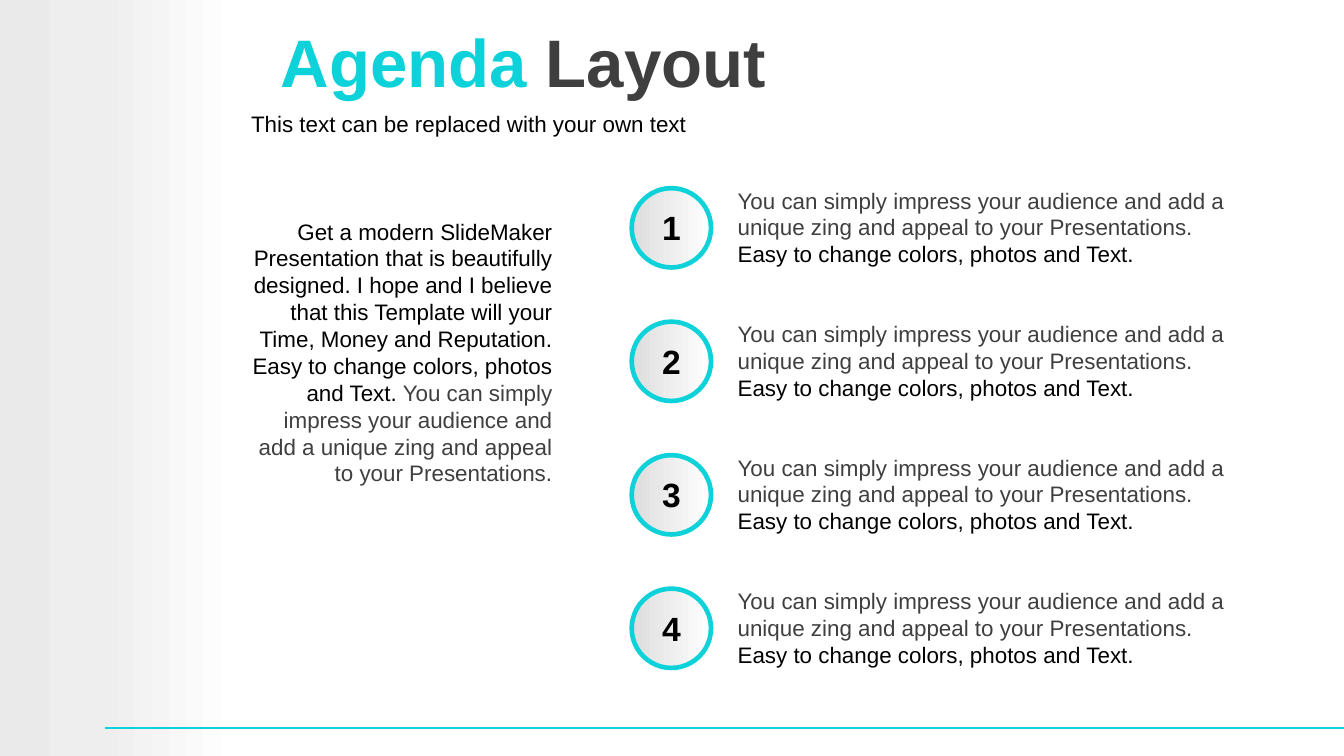
"""Build an agenda slide with four numbered points."""
import copy

import pptx
import pptx.dml.color
import pptx.enum.shapes
import pptx.enum.text
import pptx.oxml
import pptx.oxml.ns
import pptx.util

Inches = pptx.util.Inches
RGBColor = pptx.dml.color.RGBColor
MSO_SHAPE = pptx.enum.shapes.MSO_SHAPE
PP_ALIGN = pptx.enum.text.PP_ALIGN
MSO_ANCHOR = pptx.enum.text.MSO_ANCHOR

WIDTH = 10
HEIGHT = WIDTH * 9 / 16

TURQUOISE = RGBColor(0x0D, 0xD2, 0xD9)
CHARCOAL = RGBColor(0x3F, 0x3F, 0x3F)
BLACK = RGBColor(0, 0, 0)
WHITE = RGBColor(0xFF, 0xFF, 0xFF)
SILVER = RGBColor(0xDD, 0xDD, 0xDD)
MIST = RGBColor(0xEA, 0xEA, 0xEA)
PALE = RGBColor(0xEE, 0xEE, 0xEE)

IMPRESS = "You can simply impress your audience and add a unique zing and appeal to your Presentations."
EASY = "Easy to change colors, photos and Text."
INTRO = (
    "Get a modern SlideMaker Presentation that is beautifully designed. "
    "I hope and I believe that this Template will your Time, Money and Reputation. "
)


def write_text(tf, runs, size=12, bold=False, align=PP_ALIGN.LEFT, anchor=MSO_ANCHOR.TOP):
    """Fill a text frame with one paragraph of (text, colour) runs."""
    tf.word_wrap = True
    tf.auto_size = pptx.enum.text.MSO_AUTO_SIZE.NONE
    tf.vertical_anchor = anchor
    p = tf.paragraphs[0]
    p.alignment = align
    for text, color in runs:
        r = p.add_run()
        r.text = text
        r.font.name = "Arial"
        r.font.size = pptx.util.Pt(size)
        r.font.bold = bold
        r.font.color.rgb = color


def add_text(shapes, left, top, width, height, runs, **fmt):
    """Add a text box holding formatted runs."""
    sp = shapes.add_textbox(Inches(left), Inches(top), Inches(width), Inches(height))
    write_text(sp.text_frame, runs, **fmt)


def add_gradient_shape(shapes, kind, left, top, width, height, stops):
    """Add a preset shape with a left-to-right gradient."""
    sp = shapes.add_shape(kind, Inches(left), Inches(top), Inches(width), Inches(height))
    sp.shadow.inherit = False
    sp.line.fill.background()
    sp.fill.gradient()
    sp.fill.gradient_angle = 0
    gs_list = sp.element.spPr.find(".//" + pptx.oxml.ns.qn("a:gsLst"))
    while len(gs_list) < len(stops):
        gs_list.append(copy.deepcopy(gs_list[0]))
    for stop, (position, color) in zip(sp.fill.gradient_stops, stops):
        stop.position = position
        stop.color.rgb = color
    return sp


def add_rule(shapes, left, top, right):
    """Add the thin horizontal line at the foot."""
    line = shapes.add_connector(
        pptx.enum.shapes.MSO_CONNECTOR.STRAIGHT,
        Inches(left), Inches(top), Inches(right), Inches(top),
    )
    line.line.color.rgb = TURQUOISE
    line.line.width = pptx.util.Pt(1)
    line.element.spPr.append(pptx.oxml.parse_xml(
        "<a:effectLst %s/>" % pptx.oxml.ns.nsdecls("a")))


def set_title(s):
    """Place and fill the two-colour title."""
    sp = s.shapes.title
    sp.left, sp.top = Inches(1.73), Inches(0.03)
    sp.width, sp.height = Inches(8.27), Inches(0.85)
    write_text(sp.text_frame, [("Agenda ", TURQUOISE), ("Layout", CHARCOAL)],
               size=36, bold=True, anchor=MSO_ANCHOR.MIDDLE)
    sp.text_frame.margin_left = Inches(0.36)


def add_agenda_item(s, number, top):
    """Add a numbered circle and its description."""
    group = s.shapes.add_group_shape()
    circle = add_gradient_shape(group.shapes, MSO_SHAPE.OVAL, 4.7, top, 0.59, 0.59,
                                [(0, SILVER), (1, WHITE)])
    circle.line.color.rgb = TURQUOISE
    circle.line.width = pptx.util.Pt(2.5)
    add_text(group.shapes, 4.8, top + 0.09, 0.39, 0.4, [(str(number), BLACK)],
             size=18, bold=True, align=PP_ALIGN.CENTER, anchor=MSO_ANCHOR.MIDDLE)
    add_text(s.shapes, 5.39, top - 0.06, 3.83, 0.71,
             [(IMPRESS + " ", CHARCOAL), (EASY, BLACK)])


def main():
    """Build and save the slide."""
    prs = pptx.Presentation()
    prs.slide_width, prs.slide_height = Inches(WIDTH), Inches(HEIGHT)
    s = prs.slides.add_slide(prs.slide_layouts[5])
    add_gradient_shape(s.shapes, MSO_SHAPE.RECTANGLE, 0, 0, 1.77, HEIGHT,
                       [(0, MIST), (0.42, PALE), (1, WHITE)])
    add_rule(s.shapes, 0.78, 5.42, WIDTH)
    set_title(s)
    add_text(s.shapes, 1.69, 1.57, 2.52, 2.12,
             [(INTRO + EASY, BLACK), (" " + IMPRESS, CHARCOAL)], align=PP_ALIGN.RIGHT)
    for i in range(4):
        add_agenda_item(s, i + 1, 1.4 + i * 2.98 / 3)
    add_text(s.shapes, 1.77, 0.77, 8.23, 0.29,
             [("This text can be replaced with your own text", BLACK)])
    prs.save("out.pptx")


if __name__ == "__main__":
    main()
